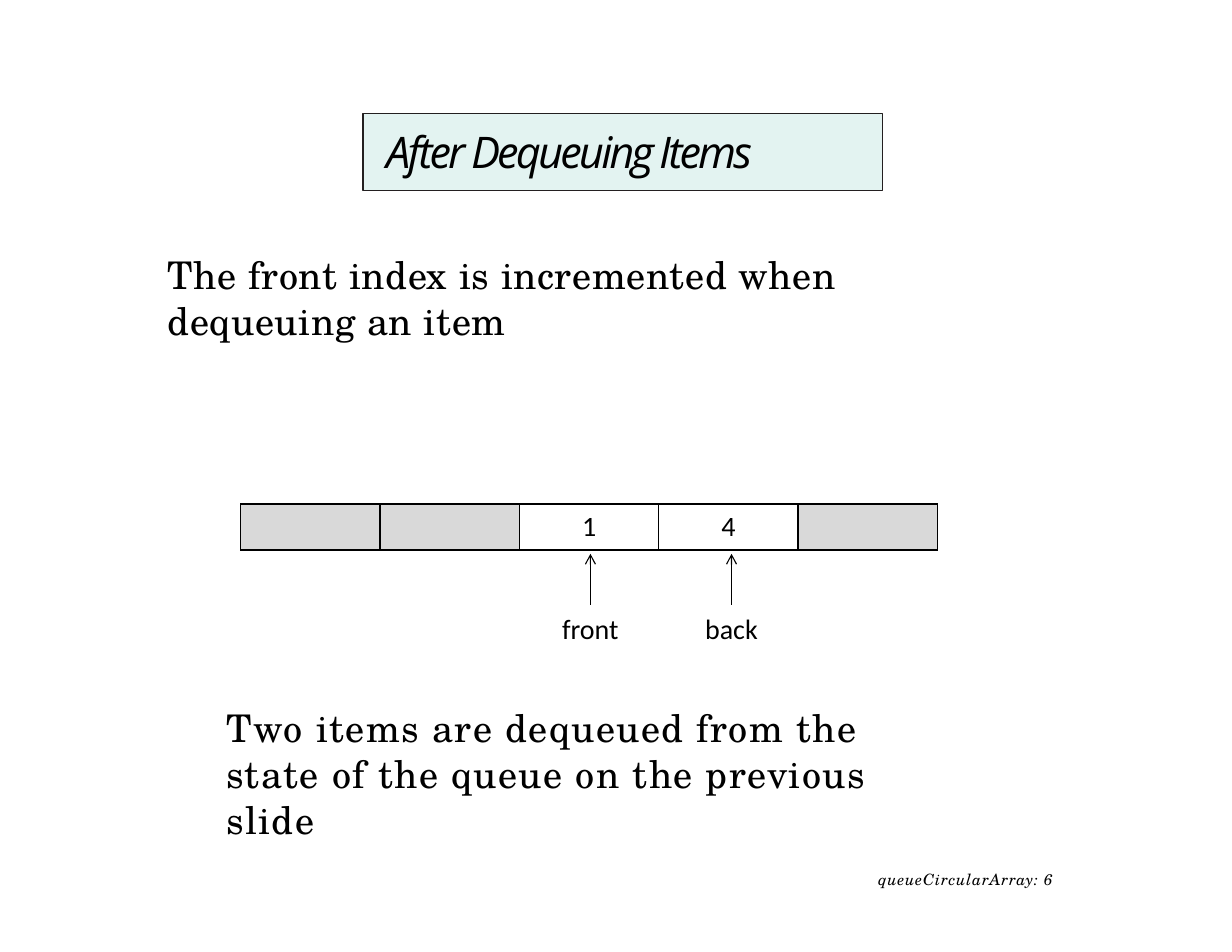
from lxml.etree import SubElement
from pptx import Presentation
from pptx.dml.color import RGBColor as RGB
from pptx.enum.shapes import MSO_CONNECTOR as CONN, MSO_SHAPE as SHAPE
from pptx.enum.text import MSO_ANCHOR as ANCHOR, PP_ALIGN as ALIGN
from pptx.oxml.ns import qn
from pptx.util import Cm, Pt

THEME = {
    "ink": RGB(0, 0, 0),
    "title_fill": RGB(0xE3, 0xF3, 0xF1),
    "title_line": RGB(0x23, 0x1F, 0x20),
    "free_cell": RGB(0xD9, 0xD9, 0xD9),
    "title": {"name": "Open Sans", "size": Pt(28), "italic": True},
    "body": {"name": "TeX Gyre Schola", "size": Pt(24.5)},
    "label": {"name": "Calibri", "size": Pt(18)},
    "footer": {"name": "TeX Gyre Schola", "size": Pt(10), "italic": True},
}

# Boxes are left, top, width, height in cm; runs are (text, letter spacing in pt)
TITLE = {"box": (8.23, 2.57, 11.79, 1.75), "runs": [("After Dequeuing Items", -1.8)],
         "style": "title", "inset": (0.53, 0.1, 0, 0), "line_spacing": Pt(38.5)}
TEXTS = [
    {"box": (3.78, 5.66, 17.81, 2.13), "style": "body",
     "runs": [("The front index is incremented when dequeuing an item", 0.4)],
     "inset": (0.03, 0.05, 0, 0), "space_before": Pt(1.2)},
    {"box": (4.88, 15.85, 16.94, 2.36), "style": "body",
     "runs": [("Two items are dequeued from the state of the queue on the previous slide", 0.9)]},
    {"box": (19.89, 19.74, 4.29, 0.43), "style": "footer",
     "runs": [("queueCircularArray: ", 0.5), ("6", 0.6)],
     "inset": (0.03, 0, 0, 0), "space_before": Pt(0.2)},
]
QUEUE = [None, None, "1", "4", None]
QUEUE_LEFT, QUEUE_TOP, CELL_W, CELL_H = 5.46, 11.43, 3.16, 1.04
POINTERS = [("front", 13.39, 1.8), ("back", 16.59, 1.73)]  # name, centre, label width
ARROW_TIP, ARROW_BASE, LABEL_TOP, LABEL_H = 12.56, 13.72, 13.75, 1.02


def set_attrs(obj, values):
    for name, value in values.items():
        setattr(obj, name, value)


def cm(*lengths):
    return [Cm(v) for v in lengths]


def write(tf, runs, style, align=ALIGN.LEFT, inset=(0.25, 0.13, 0.25, 0.13), wrap=True, **spacing):
    sides = ("margin_left", "margin_top", "margin_right", "margin_bottom")
    set_attrs(tf, dict(zip(sides, cm(*inset)), word_wrap=wrap, vertical_anchor=ANCHOR.TOP))
    p = tf.paragraphs[0]
    set_attrs(p, {"alignment": align, **spacing})
    for text, tracking in runs:
        r = p.add_run()
        r.text = text
        set_attrs(r.font, THEME[style])
        r.font.color.rgb = THEME["ink"]
        if tracking:
            r.font._element.set("spc", str(round(tracking * 100)))


def add_text(s, box, **text):
    write(s.shapes.add_textbox(*cm(*box)).text_frame, **text)


def add_title(s, box, **text):
    sp = s.shapes.add_shape(SHAPE.RECTANGLE, *cm(*box))
    sp.shadow.inherit = False
    sp.fill.solid()
    sp.fill.fore_color.rgb = THEME["title_fill"]
    sp.line.color.rgb = THEME["title_line"]
    sp.line.width = Pt(1)
    write(sp.text_frame, **text)


def add_borders(cell):
    """Draw all four sides; they must come before the fill in the cell's XML."""
    tc_pr = cell._tc.get_or_add_tcPr()
    for i, side in enumerate(("lnL", "lnR", "lnT", "lnB")):
        ln = SubElement(tc_pr, qn(f"a:{side}"), w=str(Pt(1)))
        SubElement(SubElement(ln, qn("a:solidFill")), qn("a:srgbClr"), val=str(THEME["ink"]))
        tc_pr.insert(i, ln)


def add_queue(s):
    box = cm(QUEUE_LEFT, QUEUE_TOP, CELL_W * len(QUEUE), CELL_H)
    table = s.shapes.add_table(1, len(QUEUE), *box).table
    set_attrs(table, {"first_row": False, "horz_banding": False})
    for i, item in enumerate(QUEUE):
        table.columns[i].width = Cm(CELL_W)
        cell = table.cell(0, i)
        if item is None:
            cell.fill.solid()
            cell.fill.fore_color.rgb = THEME["free_cell"]
        else:
            cell.fill.background()
            write(cell.text_frame, [(item, 0)], "label", ALIGN.CENTER)
        add_borders(cell)


def add_pointer(s, name, x, width):
    arrow = s.shapes.add_connector(CONN.STRAIGHT, *cm(x, ARROW_BASE, x, ARROW_TIP))
    arrow.line.color.rgb = THEME["ink"]
    arrow.line.width = Pt(0.75)
    SubElement(arrow.line._get_or_add_ln(), qn("a:tailEnd"), type="arrow")
    SubElement(arrow._element.spPr, qn("a:effectLst"))
    add_text(s, (x - width / 2, LABEL_TOP, width, LABEL_H), runs=[(name, 0)],
             style="label", align=ALIGN.CENTER, wrap=False)


def main():
    prs = Presentation()
    prs.slide_width, prs.slide_height = cm(27.94, 21.59)
    s = prs.slides.add_slide(prs.slide_layouts[6])
    add_title(s, **TITLE)
    add_queue(s)
    for pointer in POINTERS:
        add_pointer(s, *pointer)
    for text in TEXTS:
        add_text(s, **text)
    prs.save("out.pptx")


if __name__ == "__main__":
    main()
